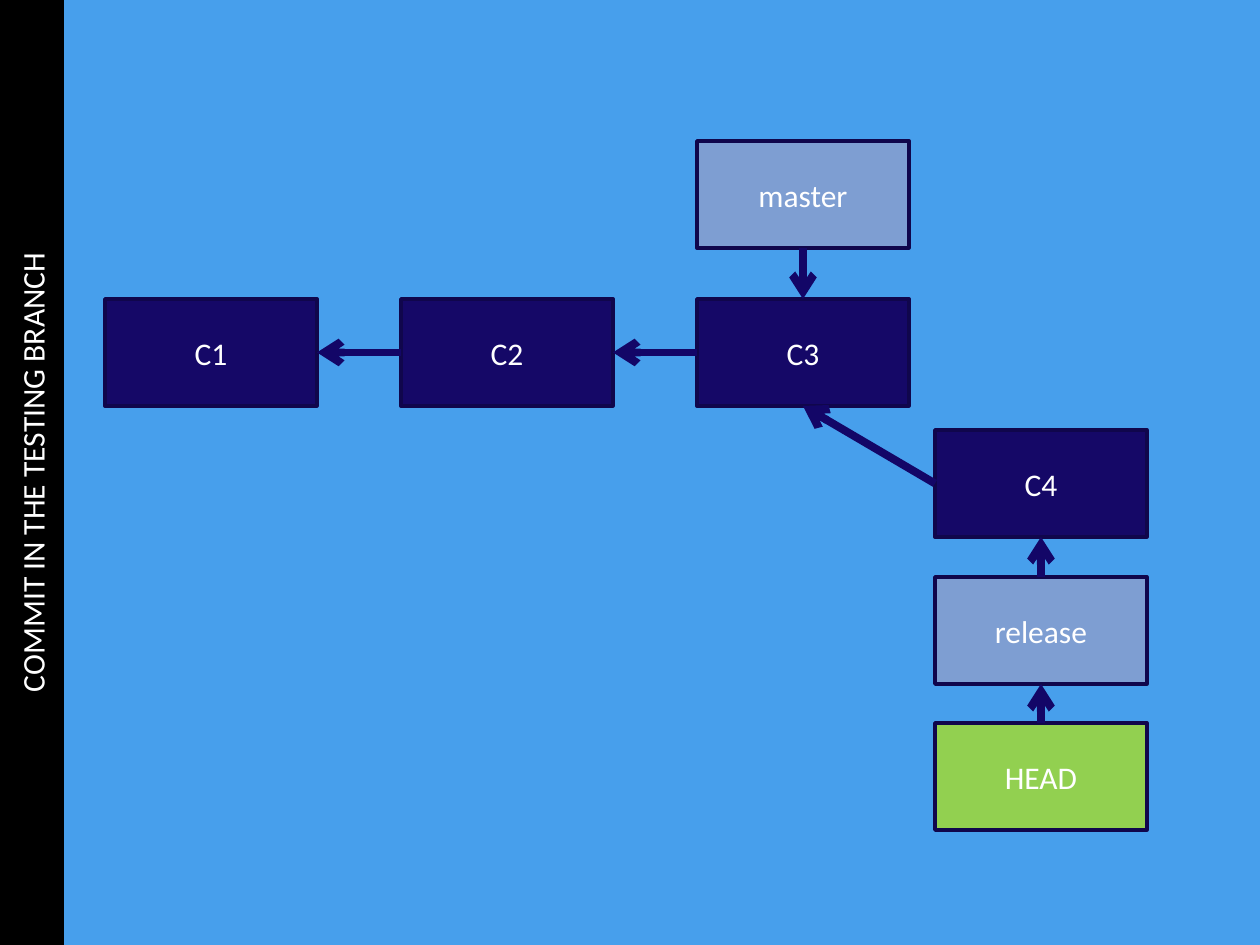
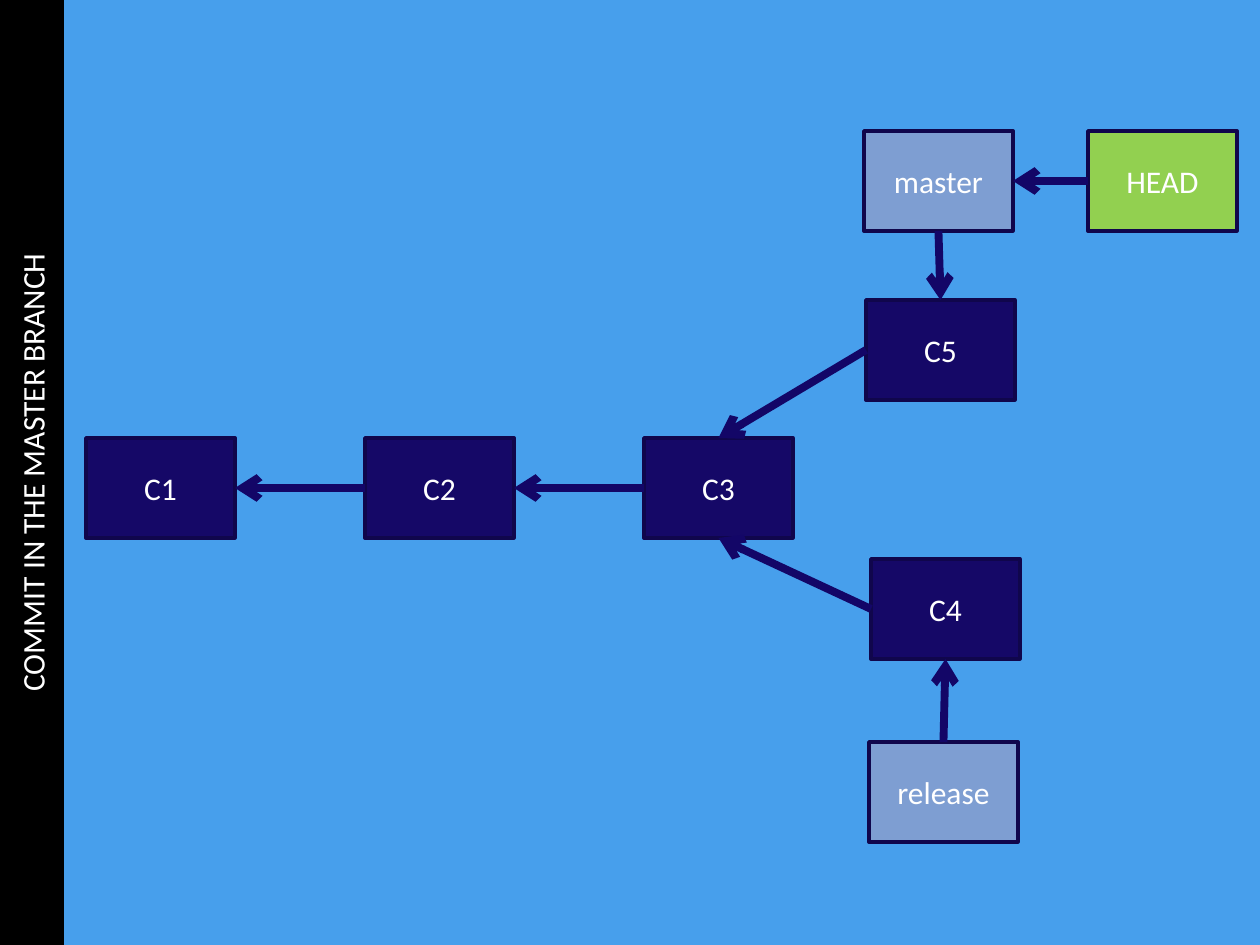
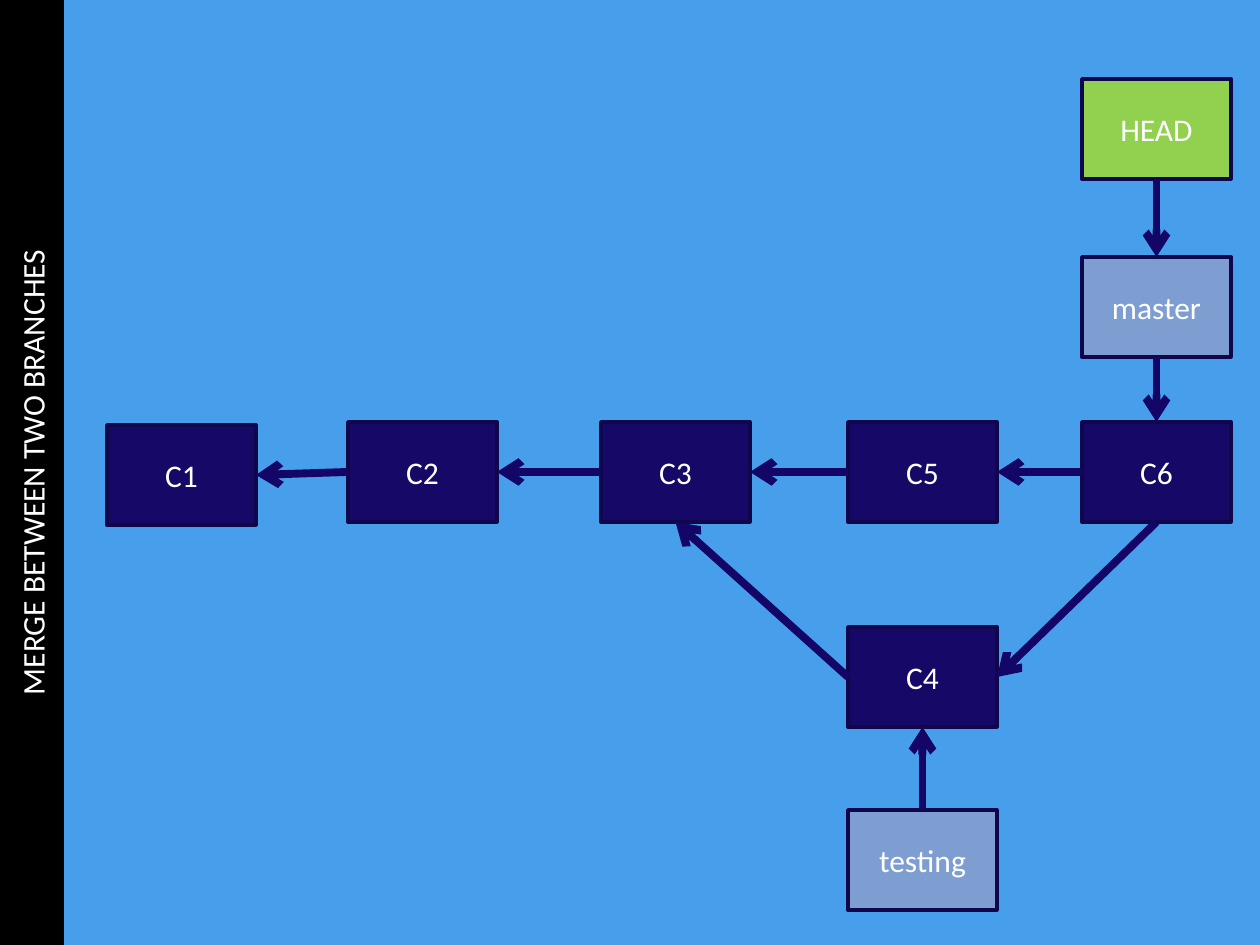
import pptx
import pptx.dml.color
import pptx.enum.shapes
import pptx.enum.text
import pptx.oxml.ns
import pptx.util
import lxml.etree

SLIDE_W, SLIDE_H, BAND_W = 1260, 945, 64
DIAGRAM_BOX = (BAND_W, 0, SLIDE_W - BAND_W, SLIDE_H)
SKY, BLACK, WHITE = "479FEC", "000000", "FFFFFF"
COMMIT, BRANCH, HEAD = "150867", "7E9ED2", "92D050"
OUTLINE, ARROW = "10064C", "130667"
TOP, LEFT, BOTTOM, RIGHT = range(4)

HISTORIES = [
    {
        "title": "COMMIT IN THE TESTING BRANCH",
        "size": (212, 107),
        "nodes": {
            **{f"C{i + 1}": (COMMIT, 41 + 296 * i, 299) for i in range(3)},
            "master": (BRANCH, 633, 141),
            "C4": (COMMIT, 871, 430),
            "release": (BRANCH, 871, 577),
            "HEAD": (HEAD, 871, 723),
        },
        "arrows": [
            ("C2", LEFT, "C1", RIGHT),
            ("C3", LEFT, "C2", RIGHT),
            ("master", BOTTOM, "C3", TOP),
            ("C4", LEFT, "C3", BOTTOM),
            ("release", TOP, "C4", BOTTOM),
            ("HEAD", TOP, "release", BOTTOM),
        ],
    },
    {
        "title": "COMMIT IN THE MASTER BRANCH",
        "size": (149, 100),
        "nodes": {
            **{f"C{i + 1}": (COMMIT, 22 + 279 * i, 438) for i in range(3)},
            "master": (BRANCH, 800, 131),
            "HEAD": (HEAD, 1024, 131),
            "C5": (COMMIT, 802, 300),
            "C4": (COMMIT, 807, 559),
            "release": (BRANCH, 805, 742),
        },
        "arrows": [
            ("C2", LEFT, "C1", RIGHT),
            ("C3", LEFT, "C2", RIGHT),
            ("C5", LEFT, "C3", TOP),
            ("C4", LEFT, "C3", BOTTOM),
            ("master", BOTTOM, "C5", TOP),
            ("HEAD", LEFT, "master", RIGHT),
            ("release", TOP, "C4", BOTTOM),
        ],
    },
    {
        "title": "MERGE BETWEEN TWO BRANCHES",
        "size": (149, 100),
        "nodes": {
            "C1": (COMMIT, 43, 425),
            "C2": (COMMIT, 284, 422),
            "C3": (COMMIT, 537, 422),
            "C5": (COMMIT, 784, 422),
            "C6": (COMMIT, 1018, 422),
            "HEAD": (HEAD, 1018, 79),
            "master": (BRANCH, 1018, 257),
            "C4": (COMMIT, 784, 627),
            "testing": (BRANCH, 784, 810),
        },
        "arrows": [
            ("C2", LEFT, "C1", RIGHT),
            ("C3", LEFT, "C2", RIGHT),
            ("C5", LEFT, "C3", RIGHT),
            ("C6", LEFT, "C5", RIGHT),
            ("HEAD", BOTTOM, "master", TOP),
            ("master", BOTTOM, "C6", TOP),
            ("C6", BOTTOM, "C4", RIGHT),
            ("C4", LEFT, "C3", BOTTOM),
            ("testing", TOP, "C4", BOTTOM),
        ],
    },
]


def px(length):
    """Turn pixels into EMU."""
    return pptx.util.Emu(round(length * 914400 / 126))


def paint(target, color):
    """Give a fill a solid colour."""
    target.solid()
    target.fore_color.rgb = pptx.dml.color.RGBColor.from_string(color)


def write(shape, text):
    """Put centred white text into a shape."""
    frame = shape.text_frame
    frame.text = text
    frame.word_wrap = True
    frame.auto_size = pptx.enum.text.MSO_AUTO_SIZE.NONE
    frame.vertical_anchor = pptx.enum.text.MSO_ANCHOR.MIDDLE
    paragraph = frame.paragraphs[0]
    paragraph.alignment = pptx.enum.text.PP_ALIGN.CENTER
    font = paragraph.runs[0].font
    font.name = "Calibri"
    font.size = pptx.util.Pt(18)
    paint(font.fill, WHITE)


def title_band(slide, text, box):
    """Turn the title a quarter to the left so that it fills an upright box."""
    left, top, width, height = box
    shift = (height - width) / 2
    band = slide.shapes.title
    band.left, band.top = px(left - shift), px(top + shift)
    band.width, band.height = px(height), px(width)
    band.rotation = 270
    paint(band.fill, BLACK)
    write(band, text)


def add_node(slide, label, color, box):
    """Draw one commit, branch or HEAD box."""
    node = slide.shapes.add_shape(
        pptx.enum.shapes.MSO_SHAPE.RECTANGLE, *map(px, box))
    node.shadow.inherit = False
    paint(node.fill, color)
    paint(node.line.fill, OUTLINE)
    node.line.width = pptx.util.Pt(2)
    write(node, label)
    return node


def add_arrow(slide, child, child_side, parent, parent_side):
    """Join two nodes with an arrow."""
    arrow = slide.shapes.add_connector(
        pptx.enum.shapes.MSO_CONNECTOR.STRAIGHT, 0, 0, 0, 0)
    arrow.begin_connect(child, child_side)
    arrow.end_connect(parent, parent_side)
    paint(arrow.line.fill, ARROW)
    arrow.line.width = pptx.util.Pt(4.5)
    qn = pptx.oxml.ns.qn
    properties = arrow.element.spPr
    lxml.etree.SubElement(
        properties.find(qn("a:ln")), qn("a:tailEnd"), type="arrow")
    lxml.etree.SubElement(properties, qn("a:effectLst"))


def commit_diagram(slide, history, box):
    """Draw the nodes and arrows of a history inside a box."""
    left, top = box[:2]
    nodes = {
        label: add_node(slide, label, color, (left + x, top + y, *history["size"]))
        for label, (color, x, y) in history["nodes"].items()
    }
    for child, child_side, parent, parent_side in history["arrows"]:
        add_arrow(slide, nodes[child], child_side, nodes[parent], parent_side)


def main():
    """Build the deck."""
    deck = pptx.Presentation()
    deck.slide_width, deck.slide_height = px(SLIDE_W), px(SLIDE_H)
    paint(deck.slide_master.background.fill, SKY)
    title_only = deck.slide_layouts[5]
    for history in HISTORIES:
        slide = deck.slides.add_slide(title_only)
        title_band(slide, history["title"], (0, 0, BAND_W, SLIDE_H))
        commit_diagram(slide, history, DIAGRAM_BOX)
    deck.save("out.pptx")


if __name__ == "__main__":
    main()
